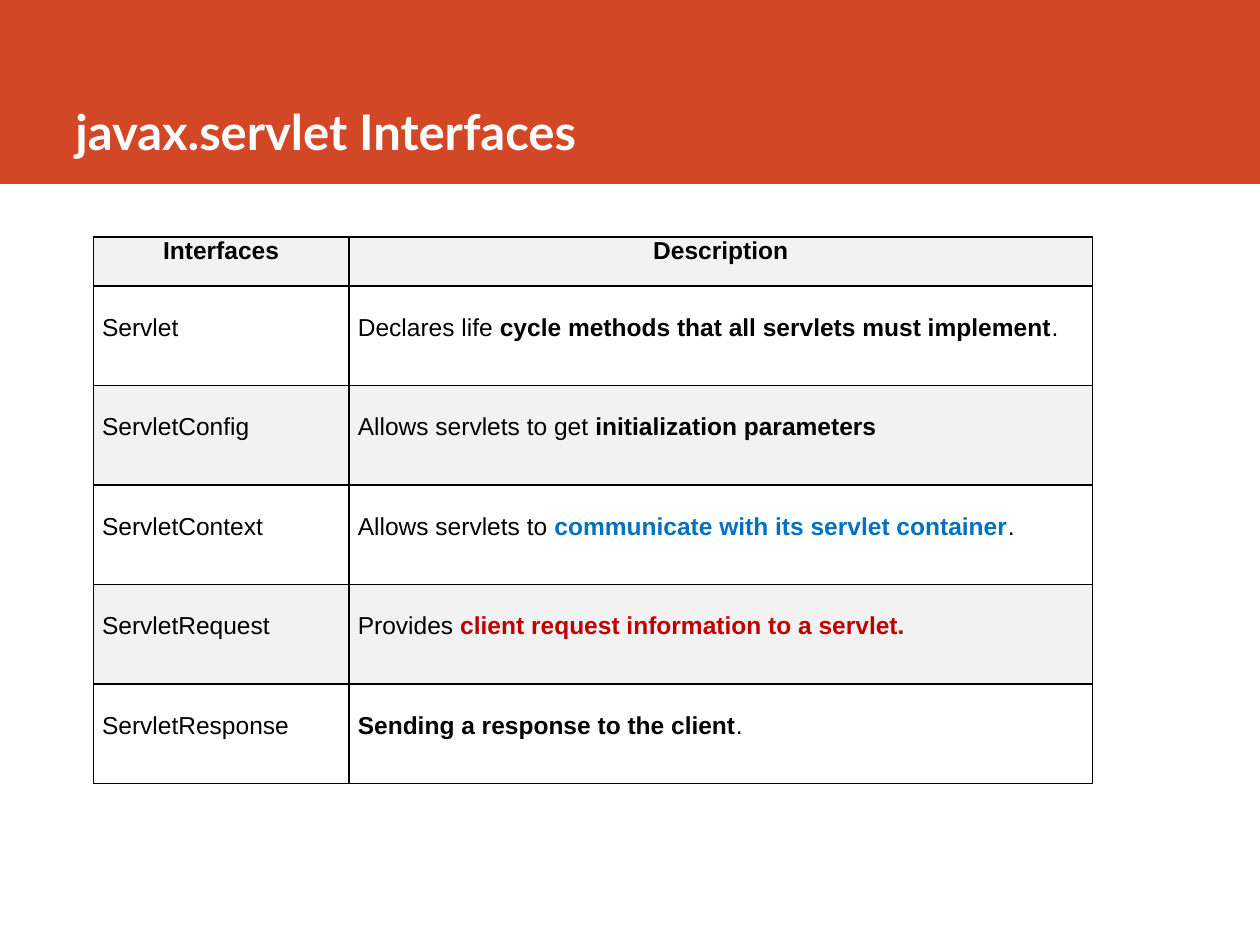
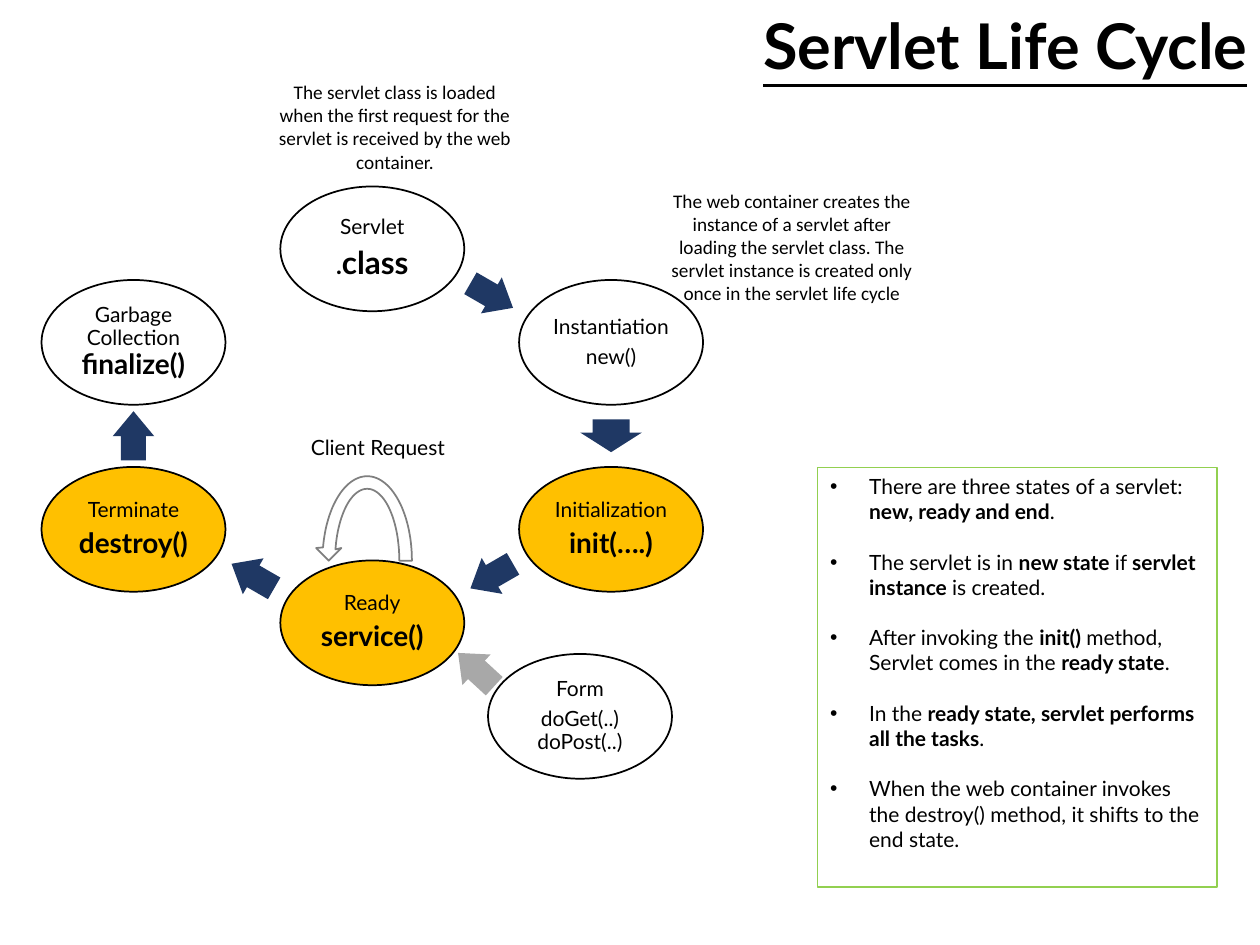
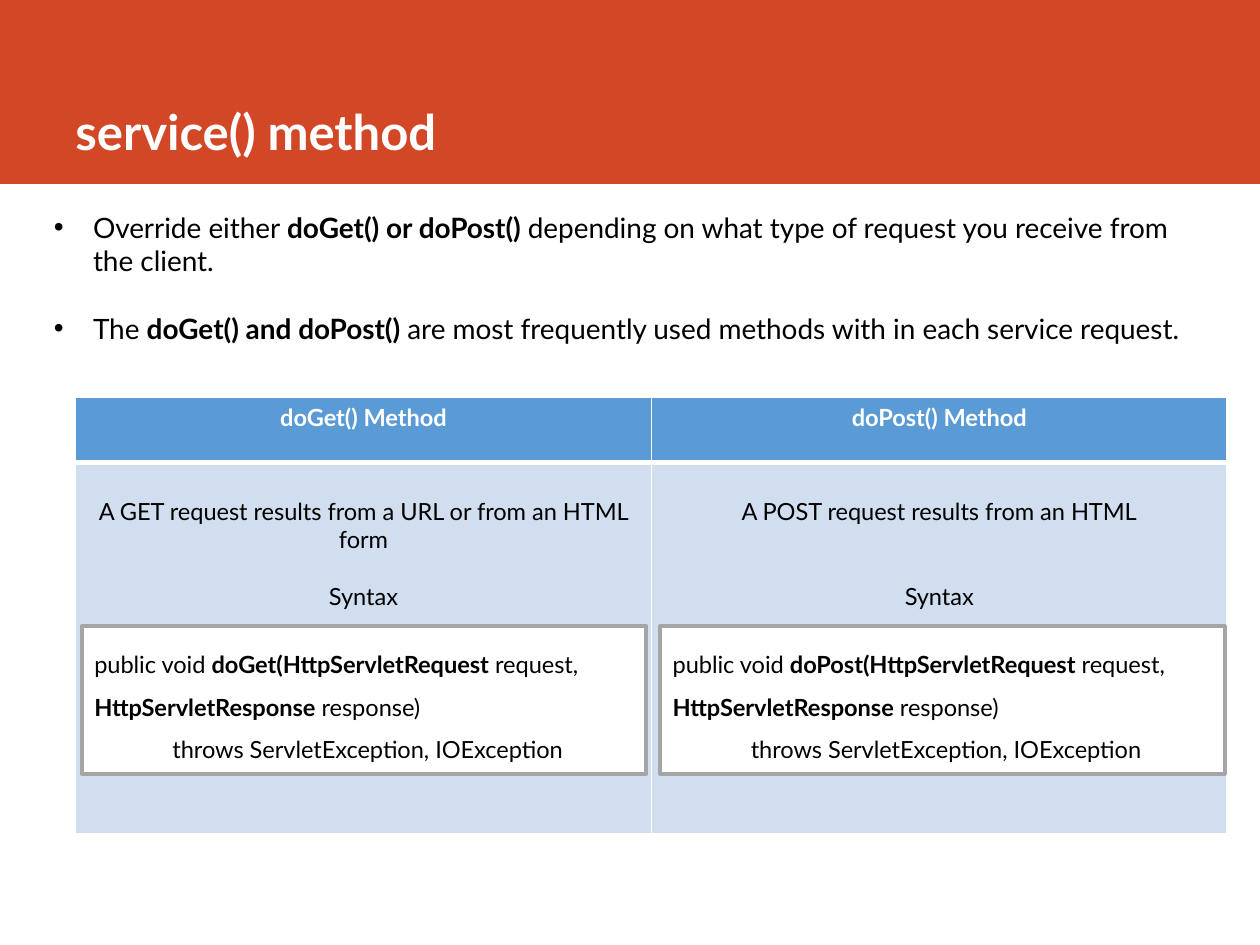
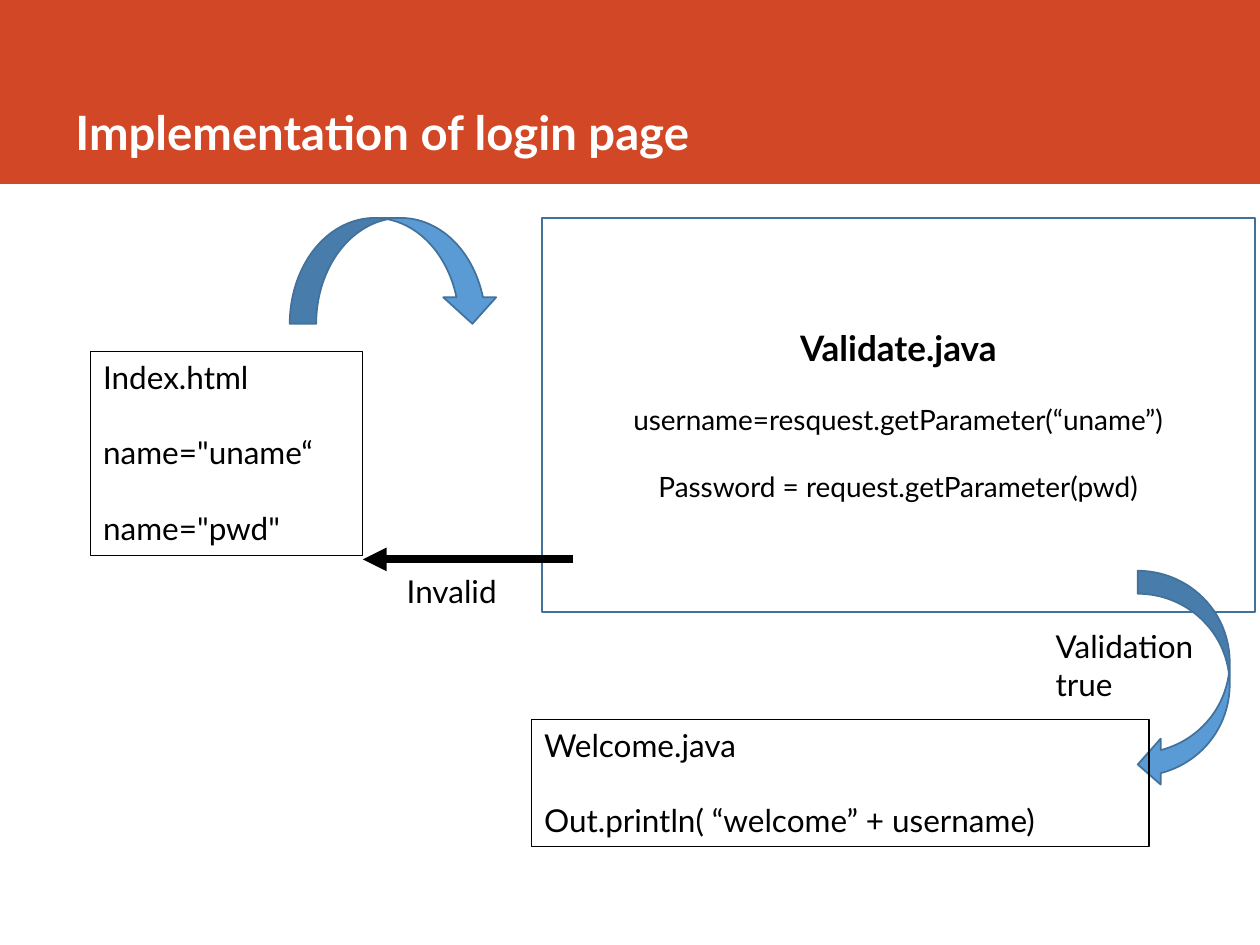
import math
from dataclasses import dataclass

from lxml import etree
from pptx import Presentation
from pptx import util as u
from pptx.dml.color import RGBColor
from pptx.enum import shapes, text
from pptx.oxml.ns import qn

SLIDE_WIDTH, SLIDE_HEIGHT = u.Inches(10), u.Inches(7.5)
COLUMNS = 100
UNIT = SLIDE_WIDTH // COLUMNS

BLACK, WHITE = "000000", "FFFFFF"
BAND, NAVY, GOLD = "D24726", "1F3864", "FFC000"
GREY, PALE, BLUE, BLUE_EDGE = "A8A8A8", "F2F2F2", "5B9BD5", "42719B"

LEFT, CENTER, RIGHT = text.PP_ALIGN.LEFT, text.PP_ALIGN.CENTER, text.PP_ALIGN.RIGHT
TOP, MIDDLE, BOTTOM = (text.MSO_ANCHOR.TOP, text.MSO_ANCHOR.MIDDLE,
                       text.MSO_ANCHOR.BOTTOM)
PRESET = shapes.MSO_SHAPE


@dataclass
class Box:
    left: float
    top: float
    width: float
    height: float

    def inner(self, left, top, width, height):
        return Box(self.left + left, self.top + top, width, height)

    def center(self):
        return self.left + self.width / 2, self.top + self.height / 2

    def emu(self):
        return [grid(v) for v in (self.left, self.top, self.width, self.height)]


def grid(cells):
    return round(cells * UNIT)


def rgb(value):
    return RGBColor.from_string(value)


def indent(paragraph, left, first=0):
    properties = paragraph._p.get_or_add_pPr()
    properties.set("marL", str(grid(left)))
    properties.set("indent", str(grid(first)))
    return properties


def add_bullet(paragraph):
    properties = indent(paragraph, 3.1, -3.1)
    etree.SubElement(properties, qn("a:buFont"), typeface="Arial")
    etree.SubElement(properties, qn("a:buChar"), char="•")


def write(frame, lines, size=18, font="Lato", color=BLACK, strong_size=None,
          strong_color=None, align=LEFT, gap=0, spacing=None, bullets=False):
    for index, line in enumerate(lines):
        paragraph = frame.add_paragraph() if index else frame.paragraphs[0]
        paragraph.alignment = align
        if bullets:
            add_bullet(paragraph)
        if spacing:
            paragraph.line_spacing = spacing
        if index and gap:
            paragraph.space_before = u.Pt(gap)
        for position, words in enumerate(line.split("**")):
            if not words:
                continue
            strong = position % 2 == 1
            run = paragraph.add_run()
            run.text = words
            run.font.name = font
            run.font.bold = strong
            run.font.size = u.Pt(strong_size if strong and strong_size else size)
            run.font.color.rgb = rgb(strong_color if strong and strong_color else color)


def set_frame(frame, anchor=TOP, insets=(1, 0.5)):
    frame.word_wrap = True
    frame.vertical_anchor = anchor
    frame.margin_left = frame.margin_right = grid(insets[0])
    frame.margin_top = frame.margin_bottom = grid(insets[1])
    return frame


def label(slide, box, lines, anchor=TOP, **style):
    frame = set_frame(slide.shapes.add_textbox(*box.emu()).text_frame, anchor)
    write(frame, lines, **style)
    return frame


def paint(shape, fill=None, line=None, width=1):
    shape.shadow.inherit = False
    if fill:
        shape.fill.solid()
        shape.fill.fore_color.rgb = rgb(fill)
    else:
        shape.fill.background()
    if line:
        shape.line.color.rgb = rgb(line)
        shape.line.width = u.Pt(width)
    else:
        shape.line.fill.background()
    return shape


def draw(slide, preset, box, **colors):
    return paint(slide.shapes.add_shape(preset, *box.emu()), **colors)


def panel(slide, box, lines, fill=None, line=BLACK, width=0.75, anchor=TOP, **style):
    rectangle = draw(slide, PRESET.RECTANGLE, box, fill=fill, line=line, width=width)
    frame = set_frame(rectangle.text_frame, anchor)
    write(frame, lines, **style)
    return frame


def band_title(slide, title, size=28):
    draw(slide, PRESET.RECTANGLE, Box(0, 0, COLUMNS, 14.6), fill=BAND)
    label(slide, Box(5, 0, 88.2, 13.2), [f"**{title}**"], anchor=BOTTOM,
          size=size, color=WHITE)


def add_table(slide, box, widths, heights):
    table = slide.shapes.add_table(len(heights), len(widths), *box.emu()).table
    table.horz_banding = False
    for column, width in zip(table.columns, widths):
        column.width = grid(width)
    for row, height in zip(table.rows, heights):
        row.height = grid(height)
    return table


def fill_cell(cell, lines, fill, border, insets, bottom=1, **style):
    properties = cell._tc.get_or_add_tcPr()
    for side in "LRTB":
        points = bottom if side == "B" else 1
        edge = etree.SubElement(properties, qn(f"a:ln{side}"), w=str(u.Pt(points)))
        solid = etree.SubElement(edge, qn("a:solidFill"))
        etree.SubElement(solid, qn("a:srgbClr"), val=border)
    cell.fill.solid()
    cell.fill.fore_color.rgb = rgb(fill)
    side_inset, cell.margin_top, cell.margin_bottom = [grid(v) for v in insets]
    cell.margin_left = cell.margin_right = side_inset
    write(cell.text_frame, lines, **style)


INTERFACES = [
    ("Servlet", "Declares life **cycle methods that all servlets must implement**.", BLACK),
    ("ServletConfig", "Allows servlets to get **initialization parameters**", BLACK),
    ("ServletContext",
     "Allows servlets to **communicate with its servlet container**.", "0070C0"),
    ("ServletRequest", "Provides **client request information to a servlet.**", "C00000"),
    ("ServletResponse", "**Sending a response to the client**.", BLACK),
]


def interface_table(slide, box):
    header, row = 3.9, 7.9
    table = add_table(slide, box, (20.3, 59), [header] + [row] * len(INTERFACES))
    common = dict(border=BLACK, size=14, font="Arial")
    for column, heading in enumerate(("Interfaces", "Description")):
        fill_cell(table.cell(0, column), [f"**{heading}**"], PALE,
                  insets=(0.7, 0, 0), align=CENTER, **common)
    for number, (name, description, accent) in enumerate(INTERFACES, 1):
        fill = WHITE if number % 2 else PALE
        for column, words in enumerate((name, description)):
            fill_cell(table.cell(number, column), [words], fill,
                      insets=(0.7, 2.24, 0), strong_color=accent, **common)


STAGES = {
    "load": (1, 0, WHITE, ["Servlet", "**.****class**"], 18),
    "create": (2, 1, WHITE, ["Instantiation", "new()"], 12),
    "init": (2, 3, GOLD, ["Initialization", "**init(….)**"], 16),
    "ready": (1, 4, GOLD, ["Ready", "**service()**"], 16),
    "end": (0, 3, GOLD, ["Terminate", "**destroy()**"], 16),
    "collect": (0, 1, WHITE, ["Garbage Collection **finalize()**"], 16),
    "form": (1.87, 5, WHITE, ["Form", "doGet(..) doPost(..)"], 12),
}

SLIM, WIDE = (3.9, 3.3), (2.6, 4.9)
STEPS = [
    ("load", "create", 30, SLIM, NAVY),
    ("create", "init", 90, WIDE, NAVY),
    ("init", "ready", 150, SLIM, NAVY),
    ("ready", "end", 210, SLIM, NAVY),
    ("end", "collect", 270, SLIM, NAVY),
    ("form", "ready", 222.6, SLIM, GREY),
]


def stage_ovals(slide, box):
    width, height = 14.6, 9.9
    column_step = (box.width - width) / 2
    row_step = (box.height - height) / 5
    places = {}
    for stage, (column, row, fill, lines, strong_size) in STAGES.items():
        places[stage] = box.inner(column * column_step, row * row_step, width, height)
        oval = draw(slide, PRESET.OVAL, places[stage], fill=fill, line=BLACK)
        frame = set_frame(oval.text_frame, MIDDLE, (0, 0))
        write(frame, lines, size=12, strong_size=strong_size, align=CENTER,
              gap=4.2, spacing=0.9)
        if stage == "load":
            frame.paragraphs[1].runs[0].font.size = u.Pt(14)
    return places


def step_arrows(slide, places):
    for start, end, angle, (length, breadth), fill in STEPS:
        (x1, y1), (x2, y2) = places[start].center(), places[end].center()
        place = Box((x1 + x2 - length) / 2, (y1 + y2 - breadth) / 2, length, breadth)
        arrow = draw(slide, PRESET.RIGHT_ARROW, place, fill=fill)
        arrow.adjustments[0] = arrow.adjustments[1] = 0.6
        arrow.rotation = angle


def request_loop(slide, box):
    thickness, head = 1, 1
    middle, base = box.left + box.width / 2, box.top + box.height

    def arc(inset, degrees):
        return [(middle + (box.width / 2 - inset) * math.cos(math.radians(d)),
                 base - (box.height - inset) * math.sin(math.radians(d)))
                for d in degrees]

    tip = box.left + thickness / 2
    points = arc(0, range(0, 172, 3))
    points += [(tip - head, base - head), (tip, base), (tip + head, base - head)]
    points += arc(thickness, range(171, -1, -3))
    first, *rest = [(grid(x), grid(y)) for x, y in points]
    outline = slide.shapes.build_freeform(*first)
    outline.add_line_segments(rest, close=True)
    paint(outline.convert_to_shape(), fill=WHITE, line="7F7F7F")


def life_cycle(slide, box):
    places = stage_ovals(slide, box.inner(0, 8.9, 52.5, 47))
    step_arrows(slide, places)
    request_loop(slide, box.inner(22.3, 31.9, 7.1, 6.7))
    label(slide, box.inner(18.9, 28.3, 15.6, 2.8), ["Client Request"],
          size=12, align=CENTER, spacing=0.9)
    notes = [
        ((17.4, 0, 21.3, 8.4),
         "The servlet class is loaded when the first request for the servlet "
         "is received by the web container."),
        ((48.8, 8.6, 21.5, 10.3),
         "The web container creates the instance of a servlet after loading the "
         "servlet class. The servlet instance is created only once in the servlet "
         "life cycle"),
    ]
    for place, words in notes:
        label(slide, box.inner(*place), [words], size=11, font="Calibri", align=CENTER)


def state_list(slide, box):
    panel(slide, box, [
        "There are three states of a servlet: **new, ready and end**.",
        "The servlet is in **new state **if **servlet instance **is created.",
        "After invoking the **init() **method, Servlet comes in the **ready state**.",
        "In the **ready state, servlet performs all the tasks**.",
        "When the web container invokes the destroy() method, it shifts to the end state.",
    ], line="92D050", size=12, gap=14.4, bullets=True)


def method_table(slide, box):
    methods = [
        ("doGet", "A GET request results from a URL or from an HTML form", 16.2),
        ("doPost", "A POST request results from an HTML", 32.4),
    ]
    half = box.width / 2
    table = add_table(slide, box, (half, half), (5.2, 29.5))
    common = dict(border=WHITE, size=13.5, align=CENTER)
    for column, (method, origin, gap) in enumerate(methods):
        fill_cell(table.cell(0, column), [f"**{method}() Method**"], BLUE,
                  insets=(1, 0.5, 0.5), bottom=3, color=WHITE, **common)
        fill_cell(table.cell(1, column), [origin, "Syntax"], "D0DEEF",
                  insets=(1, 2.75, 0.5), gap=gap, **common)
    for column, (method, _, _) in enumerate(methods):
        signature = panel(slide, box.inner(0.5 + 45.9 * column, 18.2, 44.8, 11.7), [
            f"public void **{method}(HttpServletRequest** request, "
            "**HttpServletResponse** response)",
            "throws ServletException, IOException",
        ], fill=WHITE, line="A5A5A5", width=2.25, anchor=MIDDLE, size=13.5, spacing=1.5)
        indent(signature.paragraphs[1], 6.2)


def login_flow(slide, box):
    panel(slide, box.inner(7.2, 13.3, 21.6, 16.2),
          ["Index.html", 'name="uname“', 'name="pwd"'], gap=21.6)
    draw(slide, PRESET.CURVED_DOWN_ARROW, box.inner(23, 2.7, 16.6, 8.4),
         fill=BLUE, line=BLUE_EDGE)
    panel(slide, box.inner(43, 2.7, 56.6, 31.3), [
        "**Validate.java**",
        "username=resquest.getParameter(“uname”)",
        "Password = request.getParameter(pwd)",
    ], fill=WHITE, line=BLUE_EDGE, width=1, anchor=MIDDLE,
        size=16, strong_size=20, align=CENTER, gap=19.2)
    draw(slide, PRESET.CURVED_LEFT_ARROW, box.inner(90.3, 30.7, 7.3, 17.2),
         fill=BLUE, line=BLUE_EDGE)
    panel(slide, box.inner(42.2, 42.5, 49, 10.1),
          ["Welcome.java", "Out.println( “welcome” + username)"], gap=21.6)
    label(slide, box.inner(82.8, 34.7, 15.1, 7.1), ["Validation true"])
    rejection(slide, box.inner(28.8, 29.8, 16.7, 0))
    label(slide, box.inner(31.3, 30.3, 9.4, 4), ["Invalid"])


def rejection(slide, box):
    left, top, width, _ = box.emu()
    arrow = slide.shapes.add_connector(shapes.MSO_CONNECTOR.STRAIGHT,
                                       left + width, top, left, top)
    arrow.line.color.rgb = rgb(BLACK)
    arrow.line.width = u.Pt(4.5)
    properties = arrow._element.spPr
    etree.SubElement(properties.get_or_add_ln(), qn("a:tailEnd"), type="triangle")
    etree.SubElement(properties, qn("a:effectLst"))


def interfaces_slide(slide):
    band_title(slide, "javax.servlet Interfaces")
    interface_table(slide, Box(7.4, 18.8, 79.3, 43.4))


def life_cycle_slide(slide):
    heading = label(slide, Box(11.8, 0.2, 88.2, 6.8), ["**Servlet Life Cycle**"],
                    anchor=BOTTOM, size=36, align=RIGHT)
    heading.paragraphs[0].runs[0].font.underline = True
    life_cycle(slide, Box(3.3, 5.9, 70.3, 56))
    state_list(slide, Box(64.9, 37.1, 31.7, 33.3))


def service_slide(slide):
    band_title(slide, "service() method")
    label(slide, Box(3.3, 16.2, 91.5, 17.2), [
        "Override either **doGet() or doPost() **depending on what type of request "
        "you receive from the client.",
        "The **doGet() and doPost() **are most frequently used methods with in each "
        "service request.",
    ], size=16, gap=19.2, bullets=True)
    method_table(slide, Box(6, 31.5, 91.4, 34.7))


def login_slide(slide):
    band_title(slide, "Implementation of login page", size=27)
    login_flow(slide, Box(0, 14.6, COLUMNS, 60.4))


def main():
    deck = Presentation()
    deck.slide_width, deck.slide_height = SLIDE_WIDTH, SLIDE_HEIGHT
    blank = deck.slide_layouts[6]
    for build in (interfaces_slide, life_cycle_slide, service_slide, login_slide):
        build(deck.slides.add_slide(blank))
    deck.save("out.pptx")


if __name__ == "__main__":
    main()
